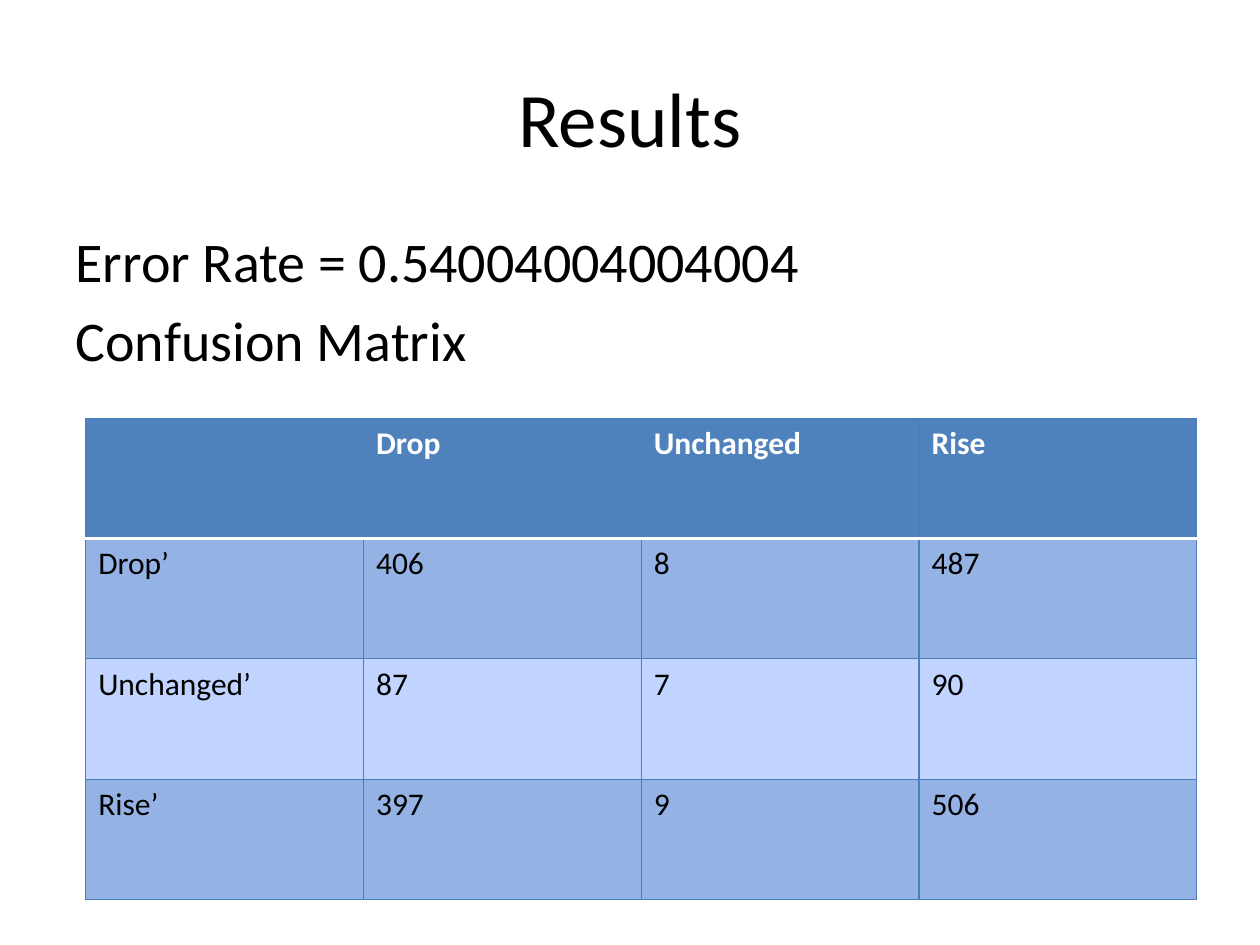
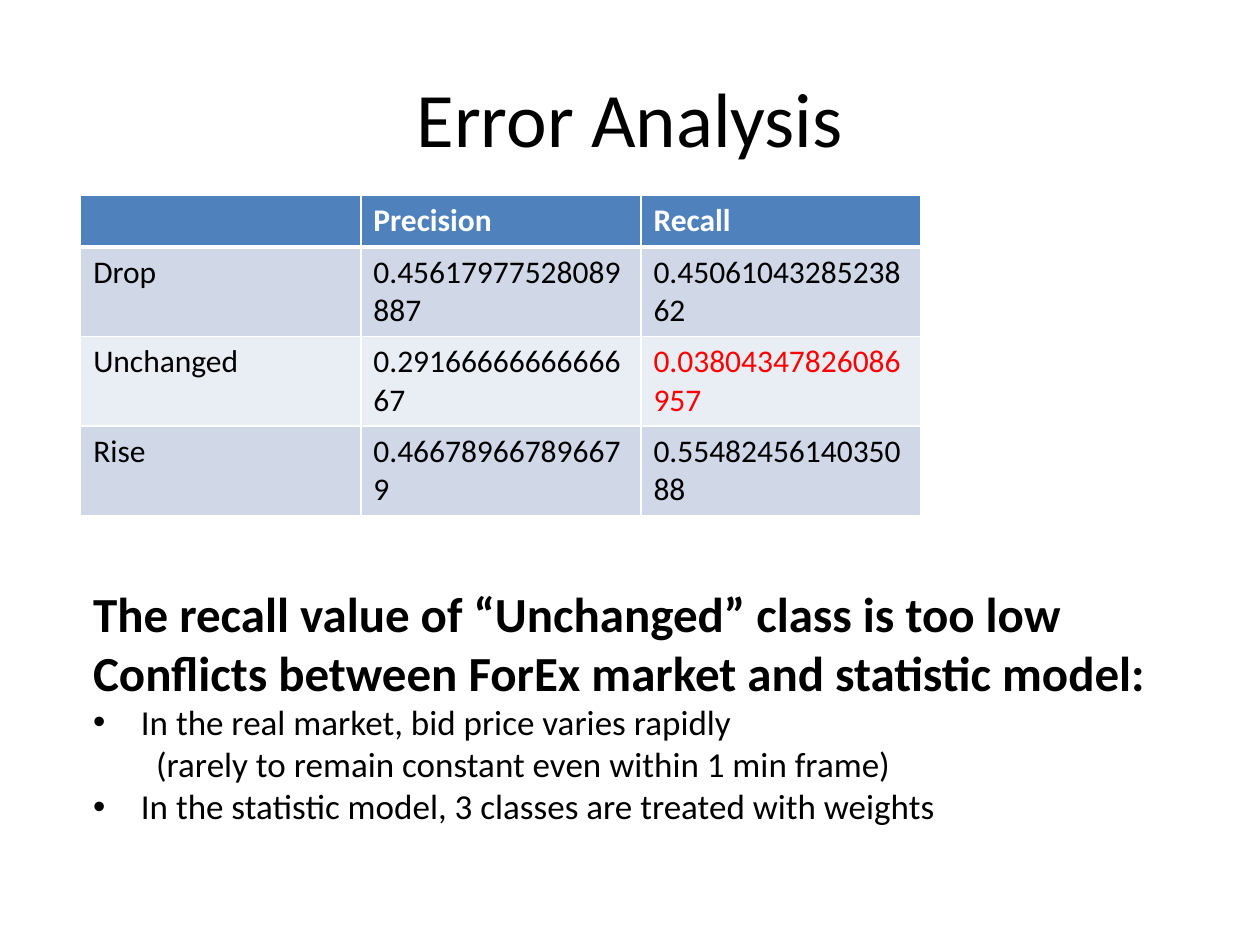
from lxml.etree import SubElement
from pptx import Presentation
from pptx.dml.color import RGBColor
from pptx.enum.text import MSO_ANCHOR, PP_ALIGN
from pptx.oxml.ns import qn
from pptx.util import Inches, Pt

FONT = "Calibri"
BLACK = RGBColor(0x00, 0x00, 0x00)
WHITE = RGBColor(0xFF, 0xFF, 0xFF)
RED = RGBColor(0xFF, 0x00, 0x00)
BLUE = RGBColor(0x4F, 0x81, 0xBD)
GRID_BLUE = RGBColor(0x4B, 0x7E, 0xBC)
STRONG_BANDS = (RGBColor(0x94, 0xB3, 0xE4), RGBColor(0xC0, 0xD4, 0xFF))
PALE_BANDS = (RGBColor(0xD0, 0xD8, 0xE8), RGBColor(0xE9, 0xED, 0xF4))


def style_runs(p, size, color=BLACK, bold=False):
    """Format every run of a paragraph."""
    for r in p.runs:
        r.font.name = FONT
        r.font.size = Pt(size)
        r.font.bold = bold
        r.font.color.rgb = color


def place(shape, left, top, width, height):
    """Move and size a shape, in inches."""
    shape.left, shape.top = Inches(left), Inches(top)
    shape.width, shape.height = Inches(width), Inches(height)


def add_slide(prs, layout, title):
    """Add a slide with the shared title style."""
    s = prs.slides.add_slide(prs.slide_layouts[layout])
    place(s.shapes.title, 0.5, 0.3, 9, 1.25)
    tf = s.shapes.title.text_frame
    tf.text = title
    tf.vertical_anchor = MSO_ANCHOR.MIDDLE
    p = tf.paragraphs[0]
    p.alignment = PP_ALIGN.CENTER
    style_runs(p, 44)
    return s


def set_indent(p, left, first=0, bullet=None):
    """Set the margin, first-line indent and bullet of a paragraph."""
    pPr = p._p.get_or_add_pPr()
    pPr.set("marL", str(Inches(left)))
    pPr.set("indent", str(Inches(first)))
    if bullet:
        SubElement(pPr, qn("a:buFont"), typeface="Arial")
        SubElement(pPr, qn("a:buChar"), char=bullet)
    else:
        SubElement(pPr, qn("a:buNone"))


def fill_body(s, lines):
    """Write unbulleted lines into the body placeholder."""
    body = s.placeholders[1]
    place(body, 0.5, 1.75, 9, 4.95)
    body.text_frame.text = "\n".join(lines)
    for p in body.text_frame.paragraphs:
        set_indent(p, 0)
        style_runs(p, 32)


def set_borders(cell, borders):
    """Draw cell borders, given (colour, points) for left, right, top, bottom."""
    tcPr = cell._tc.get_or_add_tcPr()
    for i, (side, (color, width)) in enumerate(zip("LRTB", borders)):
        ln = SubElement(tcPr, qn("a:ln" + side), w=str(Pt(width)))
        fill = SubElement(ln, qn("a:solidFill"))
        SubElement(fill, qn("a:srgbClr"), val=str(color))
        tcPr.insert(i, ln)  # borders come before the cell fill


def add_banded_table(s, rows, box, heights, bands, grid, header_rule, marked=None):
    """Add a table with a blue header, banded rows and ruled cells."""
    left, top, width = (Inches(v) for v in box)
    frame = s.shapes.add_table(len(rows), len(rows[0]), left, top, width,
                               Inches(sum(heights)))
    table = frame.table
    for i, values in enumerate(rows):
        table.rows[i].height = Inches(heights[i])
        header = i == 0
        above = header_rule if i == 1 else grid
        below = header_rule if header else grid
        for j, value in enumerate(values):
            cell = table.cell(i, j)
            cell.text = value
            cell.fill.solid()
            cell.fill.fore_color.rgb = BLUE if header else bands[(i - 1) % 2]
            color = WHITE if header else RED if (i, j) == marked else BLACK
            style_runs(cell.text_frame.paragraphs[0], 18, color, header)
            set_borders(cell, (grid, grid, above, below))


def add_findings(s, headings, points):
    """Add bold headings followed by (text, bulleted) points."""
    box = s.shapes.add_textbox(Inches(0.64), Inches(4.58), Inches(8.68), Inches(2.05))
    tf = box.text_frame
    tf.word_wrap = True
    tf.text = "\n".join(headings + [text for text, _ in points])
    count = len(headings)
    for p in tf.paragraphs[:count]:
        style_runs(p, 28, bold=True)
    for p, (_, bulleted) in zip(tf.paragraphs[count:], points):
        style_runs(p, 20)
        if bulleted:
            set_indent(p, 0.38, -0.38, "•")
        else:
            set_indent(p, 0.5)


def build_results(prs):
    """Build the slide with the error rate and confusion matrix."""
    s = add_slide(prs, 1, "Results")
    fill_body(s, ["Error Rate = 0.54004004004004", "Confusion Matrix"])
    rows = [
        ("", "Drop", "Unchanged", "Rise"),
        ("Drop’", "406", "8", "487"),
        ("Unchanged’", "87", "7", "90"),
        ("Rise’", "397", "9", "506"),
    ]
    add_banded_table(s, rows, (0.68, 3.32, 8.82), [0.955] * 4, STRONG_BANDS,
                     (GRID_BLUE, 0.75), (WHITE, 2))


def build_error_analysis(prs):
    """Build the slide with precision, recall and the findings."""
    s = add_slide(prs, 5, "Error Analysis")
    rows = [
        ("", "Precision", "Recall"),
        ("Drop", "0.45617977528089887", "0.4506104328523862"),
        ("Unchanged", "0.2916666666666667", "0.03804347826086957"),
        ("Rise", "0.466789667896679", "0.5548245614035088"),
    ]
    add_banded_table(s, rows, (0.64, 1.55, 6.67), [0.41] + [0.7] * 3, PALE_BANDS,
                     (WHITE, 1), (WHITE, 3), marked=(2, 2))
    add_findings(
        s,
        ["The recall value of “Unchanged” class is too low",
         "Conflicts between ForEx market and statistic model:"],
        [("In the real market, bid price varies rapidly", True),
         ("(rarely to remain constant even within 1 min frame)", False),
         ("In the statistic model, 3 classes are treated with weights", True)])


def main():
    """Build and save the presentation."""
    prs = Presentation()
    prs.slide_width, prs.slide_height = Inches(10), Inches(7.5)
    build_results(prs)
    build_error_analysis(prs)
    prs.save("out.pptx")


main()
